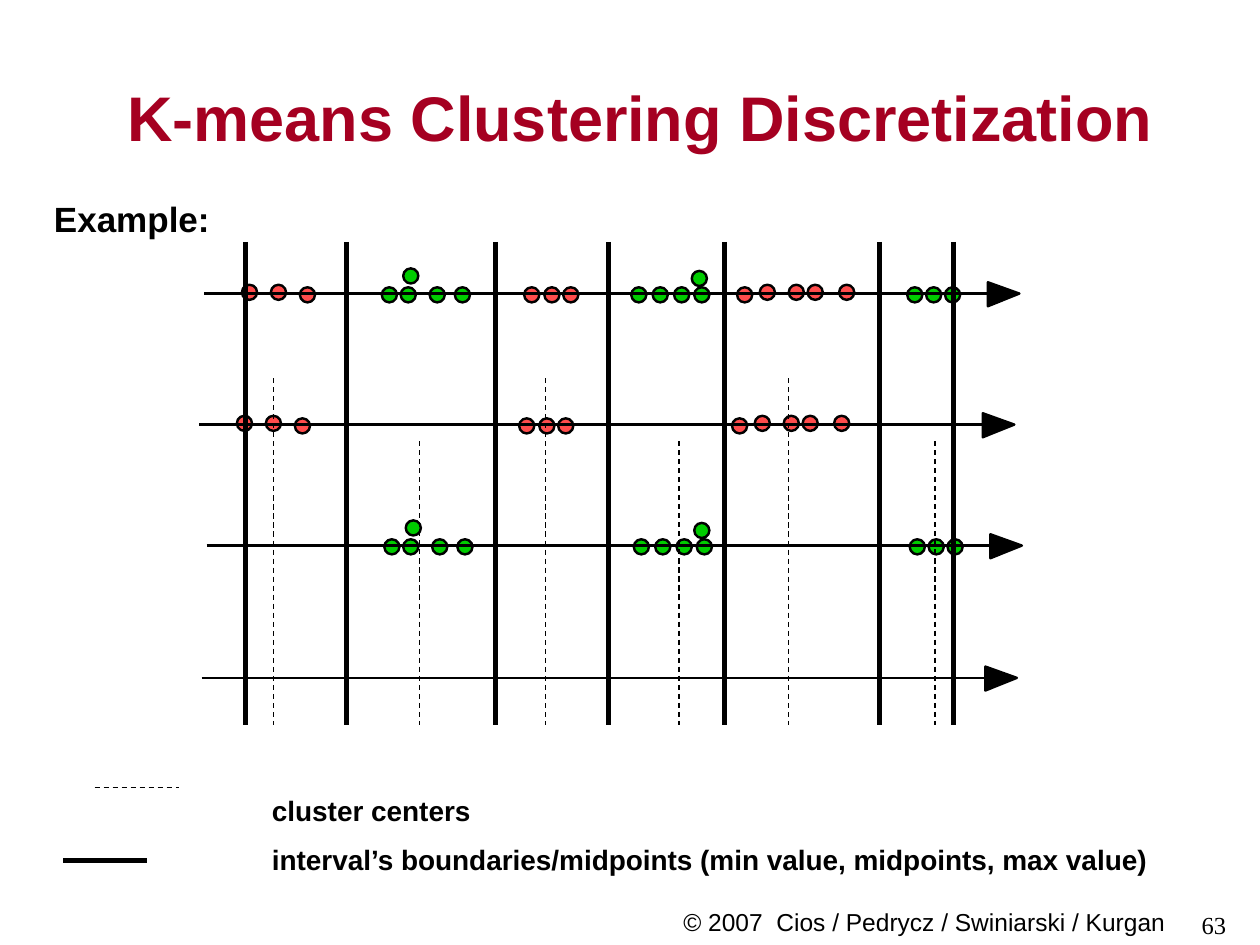
from dataclasses import dataclass

from lxml import etree
from pptx import Presentation
from pptx.dml.color import RGBColor
from pptx.enum.dml import MSO_LINE
from pptx.enum.shapes import MSO_CONNECTOR, MSO_SHAPE
from pptx.enum.text import MSO_ANCHOR, PP_ALIGN
from pptx.oxml.ns import qn
from pptx.util import Inches, Pt

STRAIGHT = MSO_CONNECTOR.STRAIGHT
OVAL = MSO_SHAPE.OVAL
DASH = MSO_LINE.DASH
MIDDLE = MSO_ANCHOR.MIDDLE
LEFT, CENTER, RIGHT = PP_ALIGN.LEFT, PP_ALIGN.CENTER, PP_ALIGN.RIGHT


@dataclass(frozen=True)
class Theme:
    black: RGBColor = RGBColor(0, 0, 0)
    title: RGBColor = RGBColor(0xA5, 0x00, 0x21)
    red: RGBColor = RGBColor(0xFF, 0x4C, 0x4C)
    green: RGBColor = RGBColor(0x00, 0xCC, 0x00)
    sans: str = "Arial"
    serif: str = "Times New Roman"
    title_size: int = 36
    heading_size: int = 20
    legend_size: int = 16
    footer_size: int = 14
    thick: float = 3
    medium: float = 1.39
    thin: float = 0.75


class SlideBuilder:
    def __init__(self, slide, theme):
        self.s = slide
        self.theme = theme

    def style_text(self, p, size, color, font, bold, align):
        p.alignment = align
        p.font.size = Pt(size)
        p.font.color.rgb = color
        p.font.name = font
        p.font.bold = bold

    def title(self, text, left, top, width, height):
        sp = self.s.shapes.title
        sp.left, sp.top = Inches(left), Inches(top)
        sp.width, sp.height = Inches(width), Inches(height)
        tf = sp.text_frame
        tf.text = text
        tf.vertical_anchor = MIDDLE
        self.style_text(tf.paragraphs[0], self.theme.title_size,
                        self.theme.title, self.theme.sans, True, CENTER)

    def text(self, text, left, top, width, height, size,
             font=None, bold=True, align=LEFT):
        sp = self.s.shapes.add_textbox(Inches(left), Inches(top),
                                       Inches(width), Inches(height))
        tf = sp.text_frame
        tf.word_wrap = True
        tf.text = text
        self.style_text(tf.paragraphs[0], size, self.theme.black,
                        font or self.theme.sans, bold, align)

    def line(self, x1, y1, x2, y2, weight, dash=None):
        cxn = self.s.shapes.add_connector(STRAIGHT, Inches(x1), Inches(y1),
                                          Inches(x2), Inches(y2))
        cxn.line.color.rgb = self.theme.black
        cxn.line.width = Pt(weight)
        if dash:
            cxn.line.dash_style = dash
        etree.SubElement(cxn._element.spPr, qn("a:effectLst"))

    def paint(self, sp, color):
        sp.shadow.inherit = False
        sp.fill.solid()
        sp.fill.fore_color.rgb = color
        sp.line.color.rgb = self.theme.black
        sp.line.width = Pt(self.theme.medium)

    def dot(self, left, top, color):
        size = Inches(0.12)
        sp = self.s.shapes.add_shape(OVAL, Inches(left), Inches(top), size, size)
        self.paint(sp, color)

    def axis(self, left, y):
        base = left + 6.22
        tip = base + 0.25
        fb = self.s.shapes.build_freeform(Inches(tip), Inches(y))
        fb.add_line_segments([(Inches(base), Inches(y + 0.1)),
                              (Inches(base), Inches(y - 0.09))], close=True)
        self.paint(fb.convert_to_shape(), self.theme.black)
        self.line(left, y, base, y, self.theme.medium)


RED_DOTS = [
    (-0.07, [0.30, 0.53, 4.41, 4.64, 4.79, 5.04]),
    (-0.05, [0.76, 2.54, 2.70, 2.85, 4.23]),
]
GREEN_DOTS = [
    (-0.05, [1.41, 1.56, 1.79, 1.99, 3.39, 3.56, 3.73, 3.89,
             5.58, 5.73, 5.88]),
    (-0.18, [3.87]),
    (-0.20, [1.58]),
]
AXES = [
    (1.62, 2.33, True, True),
    (1.58, 3.37, True, False),
    (1.64, 4.33, False, True),
    (1.60, 5.38, False, False),
]
BOUNDARIES = [1.95, 2.75, 3.93, 4.83, 5.75, 6.98, 7.57]
RED_CENTERS = [2.17, 4.33, 6.26]
GREEN_CENTERS = [3.33, 5.39, 7.42]
GRID_TOP, GRID_BOTTOM = 1.92, 5.75


def main():
    prs = Presentation()
    prs.slide_width, prs.slide_height = Inches(10), Inches(7.5)
    theme = Theme()
    b = SlideBuilder(prs.slides.add_slide(prs.slide_layouts[5]), theme)

    b.title("K-means Clustering Discretization", 0.83, 0.42, 8.5, 1)
    b.text("Example:", 0.33, 1.52, 2, 0.42, theme.heading_size)

    for left, y, has_red, has_green in AXES:
        for shown, color, rows in ((has_red, theme.red, RED_DOTS),
                                   (has_green, theme.green, GREEN_DOTS)):
            if shown:
                for dy, offsets in rows:
                    for dx in offsets:
                        b.dot(left + dx, y + dy, color)
        b.axis(left, y)

    for x in BOUNDARIES:
        b.line(x, GRID_TOP, x, GRID_BOTTOM, theme.thick)
    for top, centers in ((3, RED_CENTERS), (3.5, GREEN_CENTERS)):
        for x in centers:
            b.line(x, top, x, GRID_BOTTOM, theme.thin, DASH)

    b.line(0.75, 6.25, 1.42, 6.25, theme.thin, DASH)
    b.text("cluster centers", 2.06, 6.25, 7.5, 0.36, theme.legend_size)
    b.line(0.5, 6.83, 1.17, 6.83, theme.thick)
    b.text("interval’s boundaries/midpoints (min value, midpoints, max value)",
           2.06, 6.64, 7.5, 0.36, theme.legend_size)

    b.text("© 2007  Cios / Pedrycz / Swiniarski / Kurgan", 5, 7.15, 4.35, 0.33,
           theme.footer_size, bold=False, align=RIGHT)
    b.text("63", 9.33, 7.17, 0.5, 0.33, theme.footer_size,
           font=theme.serif, bold=False, align=RIGHT)

    prs.save("out.pptx")


if __name__ == "__main__":
    main()
